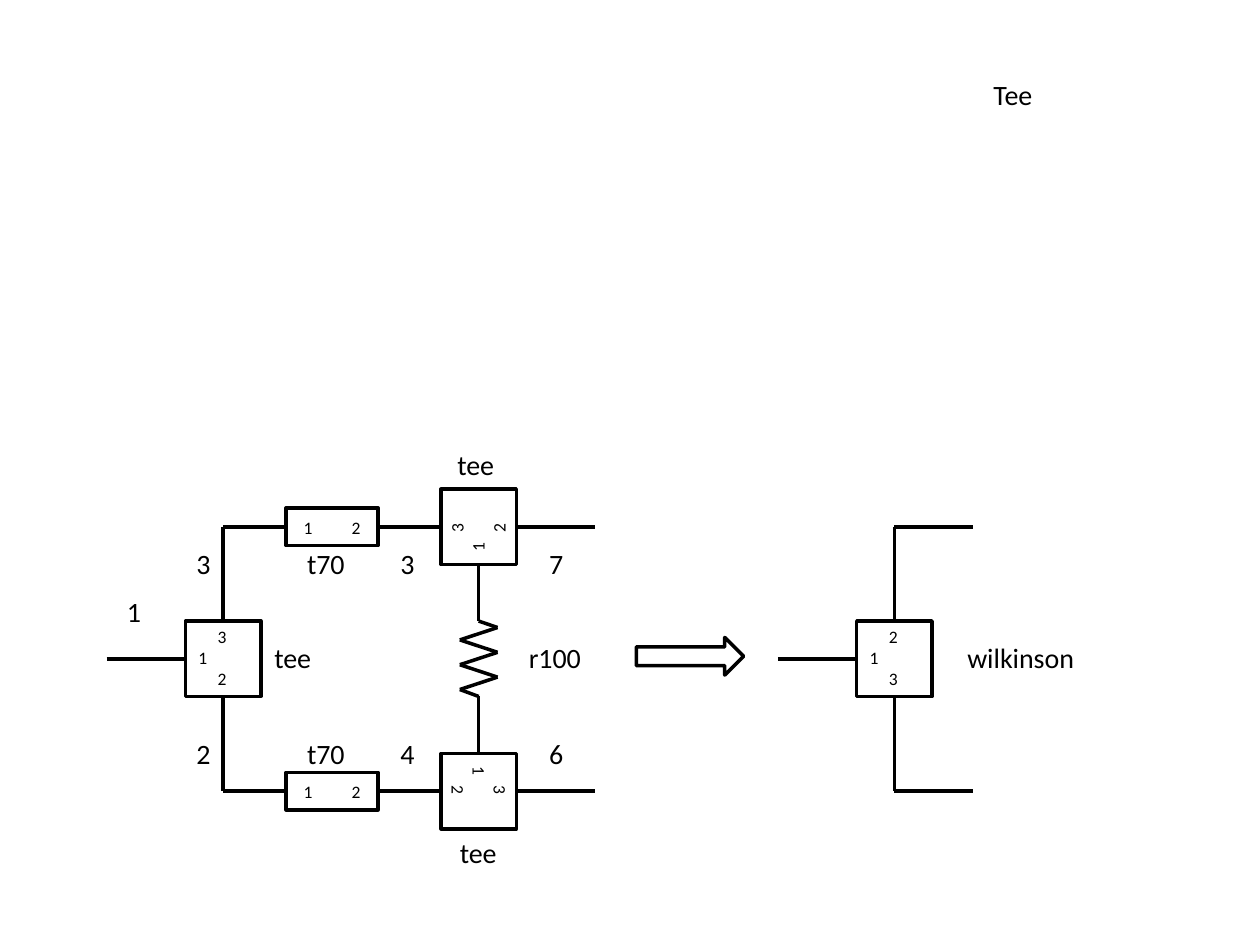
from lxml import etree
from pptx import Presentation
from pptx import util as u
from pptx.dml.color import RGBColor
from pptx.enum import shapes, text
from pptx.oxml.ns import qn

COLORS = {"ink": "000000"}
LABEL_HEIGHT = 0.94
HALF = 0.76            # half the side of a tee body
REACH = 1.59           # length of a free port line
UPPER, MIDDLE, LOWER = 10.62, 13.28, 15.95
SPLIT_X, JOIN_X, RESULT_X = 4.5, 9.65, 18.03


class Circuit:
    """Holds the drawing style and the current slide."""
    font, label_size, pin_size, stroke = "Calibri", 16, 10, 2

    def __init__(self, slide):
        self.slide = slide
        self.ink = RGBColor.from_string(COLORS["ink"])

    def set_text(self, frame, lines, size, **frame_format):
        for name, value in frame_format.items():
            setattr(frame, name, value)
        frame.text = "\n".join(lines)
        for paragraph in frame.paragraphs:
            font_format = {"name": self.font, "size": u.Pt(size), "bold": False}
            for name, value in font_format.items():
                setattr(paragraph.font, name, value)
            paragraph.font.color.rgb = self.ink
        return frame.paragraphs

    def title(self, words, x, y, width, height):
        heading = self.slide.shapes.title
        place = {"left": x, "top": y, "width": width, "height": height}
        for name, value in place.items():
            setattr(heading, name, u.Cm(value))
        self.set_text(heading.text_frame, [words], self.label_size,
                      vertical_anchor=text.MSO_ANCHOR.MIDDLE)[0].alignment = text.PP_ALIGN.CENTER

    def textbox(self, x, y, width, height):
        return self.slide.shapes.add_textbox(*map(u.Cm, (x, y, width, height)))

    def label(self, words, x, y, width=0.81):
        box = self.textbox(x, y, width, LABEL_HEIGHT)
        self.set_text(box.text_frame, [words], self.label_size, word_wrap=False,
                      auto_size=text.MSO_AUTO_SIZE.SHAPE_TO_FIT_TEXT)

    def wire(self, *points):
        for start, end in zip(points, points[1:]):
            line = self.slide.shapes.add_connector(
                shapes.MSO_CONNECTOR.STRAIGHT, *map(u.Cm, start + end))
            line.line.color.rgb = self.ink
            line.line.width = u.Pt(self.stroke)
            etree.SubElement(line._element.spPr, qn("a:effectLst"))

    def outline(self, kind, x, y, width, height):
        body = self.slide.shapes.add_shape(kind, *map(u.Cm, (x, y, width, height)))
        body.shadow.inherit = False
        body.fill.background()
        body.line.color.rgb = self.ink
        body.line.width = u.Pt(self.stroke)
        return body

    def tee(self, x, y, pins, rotation=0):
        body = self.outline(shapes.MSO_SHAPE.RECTANGLE,
                            x - HALF, y - HALF, 2 * HALF, 2 * HALF)
        # The pin column sits off centre, towards port 1
        dx, dy = {0: (-0.2, 0), 90: (0, -0.2), 270: (0, 0.2)}[rotation]
        column = self.textbox(x + dx - 0.55, y + dy - 0.78, 1.1, 1.56)
        body.rotation = column.rotation = rotation
        top, _, bottom = self.set_text(column.text_frame, pins, self.pin_size, word_wrap=True)
        for paragraph in (top, bottom):
            paragraph._p.get_or_add_pPr().set("marL", str(u.Cm(0.39)))

    def line_section(self, x, y):
        self.outline(shapes.MSO_SHAPE.RECTANGLE, x, y - 0.38, 1.85, 0.76)
        pins = self.textbox(x + 0.1, y - 0.33, 1.68, 0.68)
        row = self.set_text(pins.text_frame, ["1\t2"], self.pin_size, word_wrap=True)[0]
        stops = etree.Element(qn("a:tabLst"))
        etree.SubElement(stops, qn("a:tab"), pos=str(u.Cm(0.97)), algn="l")
        row._p.get_or_add_pPr().insert(0, stops)

    def splitter(self, x, pins, branch):
        """A tee with its input on the left and two branches of equal length."""
        self.wire((x - HALF - REACH, MIDDLE), (x - HALF, MIDDLE))
        for y, side in ((UPPER, -HALF), (LOWER, HALF)):
            self.wire((x, MIDDLE + side), (x, y), (x + branch, y))
        self.tee(x, MIDDLE, pins)


def main():
    deck = Presentation()
    deck.slide_width, deck.slide_height = u.Cm(25.4), u.Cm(19.05)
    circuit = Circuit(deck.slides.add_slide(deck.slide_layouts[5]))
    circuit.title("Tee", 16.71, 0.76, 7.42, 2.29)

    # Input tee with both branches
    section_x = 5.77
    circuit.splitter(SPLIT_X, "312", section_x - SPLIT_X)

    # Line sections, output tees and output ports
    for y, rotation in ((UPPER, 270), (LOWER, 90)):
        circuit.line_section(section_x, y)
        circuit.wire((section_x + 1.85, y), (JOIN_X - HALF, y))
        circuit.tee(JOIN_X, y, "312", rotation)
        circuit.wire((JOIN_X + HALF, y), (JOIN_X + HALF + REACH, y))

    # Isolation resistor between the output tees
    swing, top, bottom = 0.38, MIDDLE - HALF, MIDDLE + HALF
    zigzag = [(JOIN_X + (-swing if i % 2 else swing), top + 0.13 + 0.25 * i)
              for i in range(6)]
    circuit.wire((JOIN_X, UPPER + HALF), (JOIN_X, top), *zigzag,
                 (JOIN_X, bottom), (JOIN_X, LOWER - HALF))

    # Node and part labels
    upper_row, middle_row, lower_row = 10.9, 12.78, 14.73
    for x, width, upper, lower in ((3.71, 0.81, "3", "2"), (5.94, 1.3, "t70", "t70"),
                                   (7.82, 0.81, "3", "4"), (10.82, 0.81, "7", "6")):
        circuit.label(upper, x, upper_row, width)
        circuit.label(lower, x, lower_row, width)
    circuit.label("1", 2.31, 11.86)
    for x, y in ((8.97, 8.89), (9.02, 16.71), (5.28, middle_row)):
        circuit.label("tee", x, y, 1.27)
    circuit.label("r100", 10.41, middle_row, 1.57)

    # Equivalent three-port
    circuit.outline(shapes.MSO_SHAPE.RIGHT_ARROW, 12.83, 12.85, 2.16, 0.76)
    circuit.splitter(RESULT_X, "213", REACH)
    circuit.label("wilkinson", 19.25, middle_row, 2.69)

    deck.save("out.pptx")


if __name__ == "__main__":
    main()
